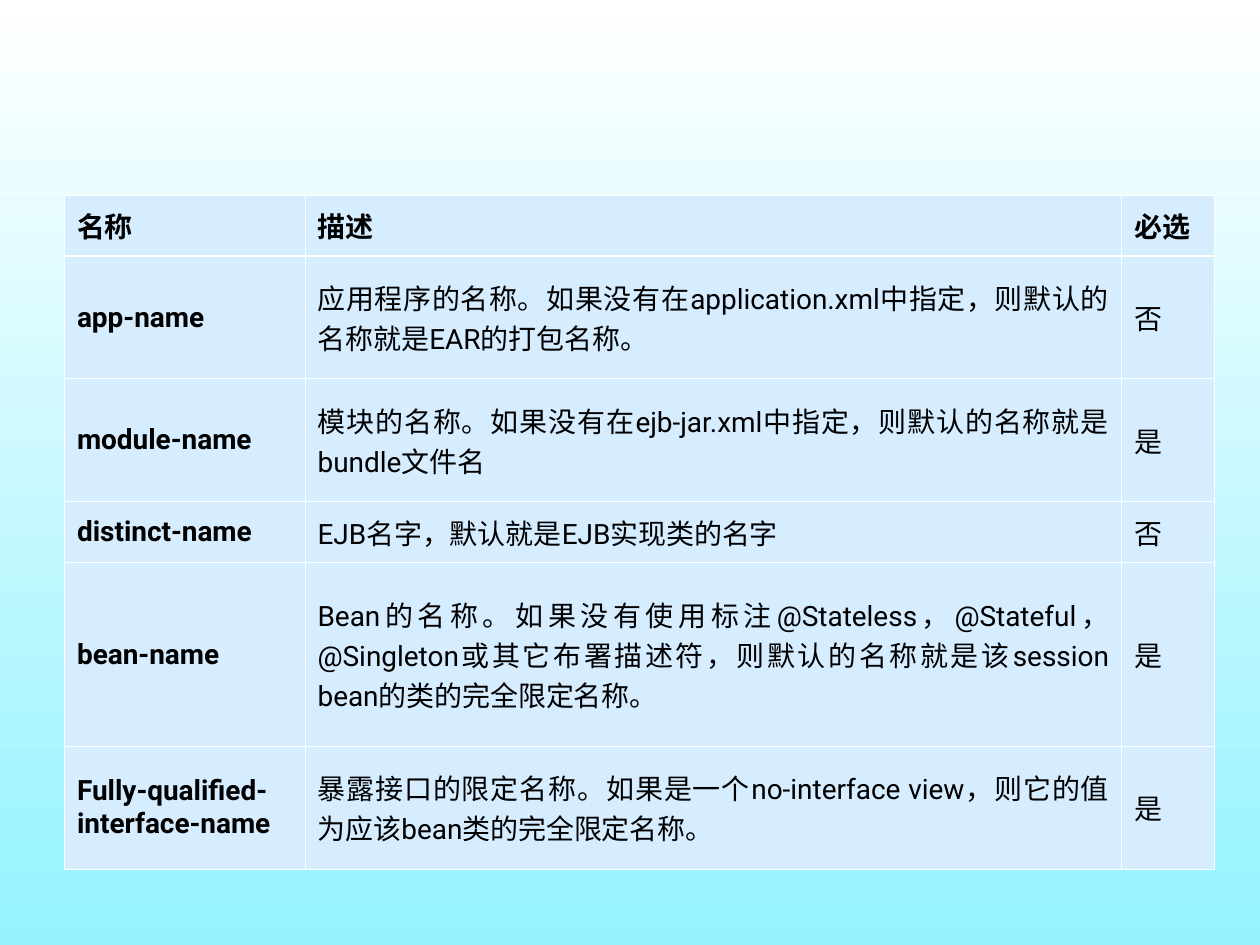
from lxml import etree
from pptx import Presentation
from pptx import util as u
from pptx.dml.color import RGBColor
from pptx.enum import text
from pptx.oxml import ns

WHITE = RGBColor(0xFF, 0xFF, 0xFF)
AQUA = RGBColor(0x94, 0xF3, 0xFF)
PALE_BLUE = RGBColor(0xD6, 0xEC, 0xFF)
BLACK = RGBColor(0, 0, 0)

THIN, THICK = 0.45, 1.47
COLUMN_WIDTHS = (4.85, 16.46, 1.88)
ROW_UNITS = (1, 2, 2, 1, 3, 2)
TABLE_HEIGHT = 13.59
ROWS = (
    ("名称", "描述", "必选"),
    ("app-name", "应用程序的名称。如果没有在application.xml中指定，则默认的名称就是EAR的打包名称。", "否"),
    ("module-name", "模块的名称。如果没有在ejb-jar.xml中指定，则默认的名称就是bundle文件名", "是"),
    ("distinct-name", "EJB名字，默认就是EJB实现类的名字", "否"),
    ("bean-name", "Bean的名称。如果没有使用标注@Stateless，@Stateful，@Singleton或其它布署描述符，"
                  "则默认的名称就是该session bean的类的完全限定名称。", "是"),
    ("Fully-qualified-interface-name",
     "暴露接口的限定名称。如果是一个no-interface view，则它的值为应该bean类的完全限定名称。", "是"),
)


class SlideBuilder:
    """Holds the text style and the current slide, and adds elements to it."""

    def __init__(self, page):
        self.page = page
        self.style = {"name": "Roboto", "size": u.Pt(16)}

    def background(self, *colors):
        fill = self.page.background.fill
        fill.gradient()
        fill.gradient_angle = 270
        for position, (stop, color) in enumerate(zip(fill.gradient_stops, colors)):
            stop.position = position
            stop.color.rgb = color

    def border(self, cell, side, width):
        properties = cell._tc.get_or_add_tcPr()
        line = etree.SubElement(properties, ns.qn(f"a:ln{side}"), w=str(int(u.Pt(width))))
        fill = etree.SubElement(line, ns.qn("a:solidFill"))
        etree.SubElement(fill, ns.qn("a:srgbClr"), val=str(WHITE))

    def cell(self, cell, words, bold, widths):
        for side, width in widths.items():
            self.border(cell, side, width)
        cell.fill.solid()
        cell.fill.fore_color.rgb = PALE_BLUE
        cell.vertical_anchor = text.MSO_ANCHOR.MIDDLE
        para = cell.text_frame.paragraphs[0]
        para.alignment = text.PP_ALIGN.JUSTIFY
        span = para.add_run()
        span.text = words
        for key, value in {**self.style, "bold": bold}.items():
            setattr(span.font, key, value)
        span.font.color.rgb = BLACK

    def table(self, left, top, rows):
        frame = self.page.shapes.add_table(
            len(rows), len(COLUMN_WIDTHS), u.Cm(left), u.Cm(top),
            u.Cm(sum(COLUMN_WIDTHS)), u.Cm(TABLE_HEIGHT))
        table = frame.table
        table.first_row = table.horz_banding = False
        for column, width in zip(table.columns, COLUMN_WIDTHS):
            column.width = u.Cm(width)
        for row, units in zip(table.rows, ROW_UNITS):
            row.height = u.Cm(TABLE_HEIGHT * units / sum(ROW_UNITS))
        for r, values in enumerate(rows):
            widths = {"L": THIN, "R": THIN,
                      "T": THICK if r == 1 else THIN,
                      "B": THICK if r == 0 else THIN}
            for c, words in enumerate(values):
                self.cell(table.cell(r, c), words, r == 0 or c == 0, widths)


def main():
    deck = Presentation()
    deck.slide_width, deck.slide_height = u.Cm(25.4), u.Cm(19.05)
    builder = SlideBuilder(deck.slides.add_slide(deck.slide_layouts[6]))
    builder.background(WHITE, AQUA)
    builder.table(1.3, 3.93, ROWS)
    deck.save("out.pptx")


if __name__ == "__main__":
    main()
